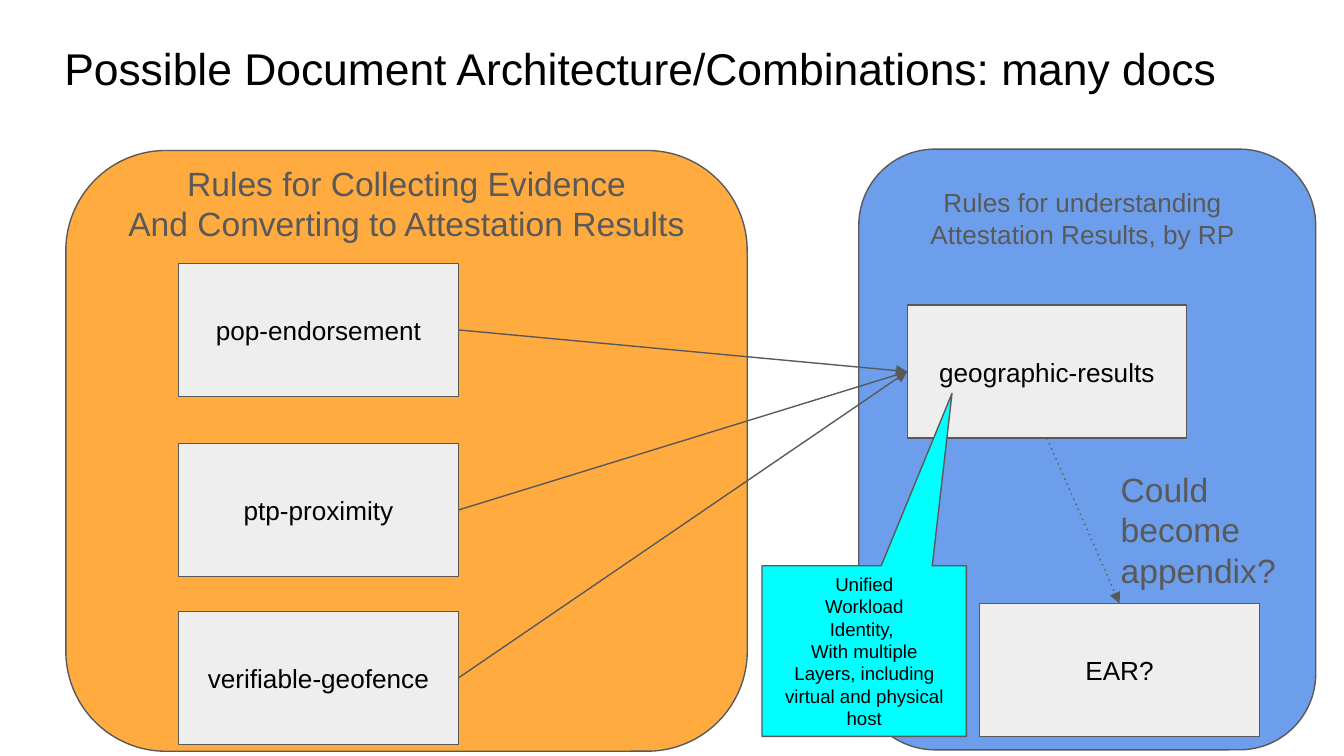
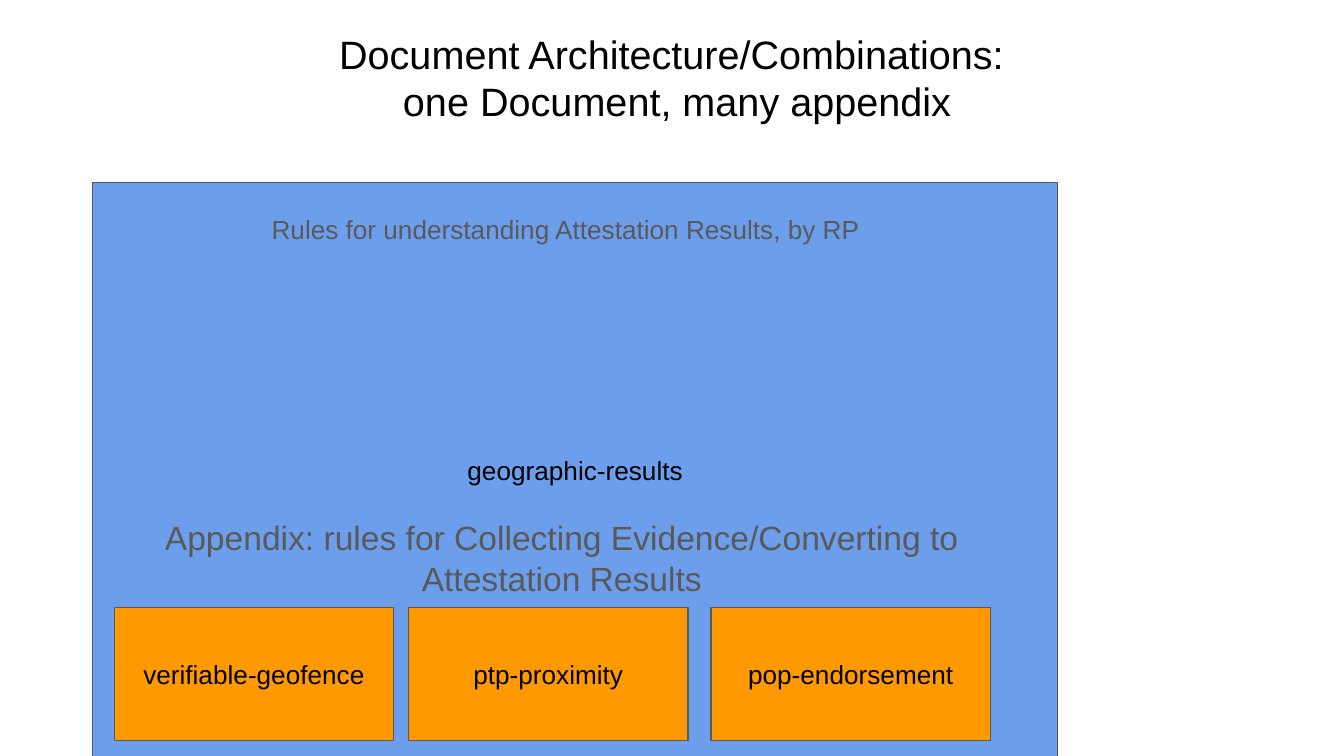
from lxml import etree
from pptx import Presentation
from pptx.dml.color import RGBColor
from pptx.enum.shapes import MSO_CONNECTOR, MSO_SHAPE
from pptx.enum.text import MSO_ANCHOR, MSO_AUTO_SIZE, PP_ALIGN
from pptx.oxml.ns import qn
from pptx.util import Inches, Pt

RECTANGLE, ROUNDED = MSO_SHAPE.RECTANGLE, MSO_SHAPE.ROUNDED_RECTANGLE
CALLOUT = MSO_SHAPE.ROUNDED_RECTANGULAR_CALLOUT
STRAIGHT = MSO_CONNECTOR.STRAIGHT
LEFT, CENTER = PP_ALIGN.LEFT, PP_ALIGN.CENTER
TOP, MIDDLE = MSO_ANCHOR.TOP, MSO_ANCHOR.MIDDLE
FIXED, GROW = MSO_AUTO_SIZE.NONE, MSO_AUTO_SIZE.SHAPE_TO_FIT_TEXT

# Slide grid: 100 columns by 56.25 rows of square cells
WIDTH, HEIGHT = Inches(10), Inches(5.625)
COLUMN, ROW = WIDTH / 100, HEIGHT / 56.25

# Shared look
FONT = "Arial"
BLACK, GRAY, LIGHT = "000000", "595959", "EEEEEE"
BLUE, AMBER, ORANGE, CYAN = "6D9EEB", "FFAB40", "FF9900", "00FFFF"
LINE_WIDTH = Pt(0.75)
INSET = Inches(0.1)
DOC_COLS, DOC_ROWS = 20.8, 9.9
BOTTOM_SIDE, TOP_SIDE, LEFT_SIDE, RIGHT_SIDE = 2, 0, 1, 3

# Wording used on both slides
RP_RULES = "Rules for understanding Attestation Results, by RP"
RESULTS = "geographic-results"
EVIDENCE_DOCS = ("pop-endorsement", "ptp-proximity", "verifiable-geofence")


def color(hex_string):
    return RGBColor.from_string(hex_string)


def place(col, row, cols, rows):
    return [round(n) for n in (col * COLUMN, row * ROW, cols * COLUMN, rows * ROW)]


def write(shape, text, size, ink, align=CENTER, anchor=MIDDLE, fit=FIXED, spacing=1.0):
    frame = shape.text_frame
    frame.text = text
    frame_format = {
        "word_wrap": True, "auto_size": fit, "vertical_anchor": anchor,
        "margin_left": INSET, "margin_right": INSET,
        "margin_top": INSET, "margin_bottom": INSET,
    }
    for name, value in frame_format.items():
        setattr(frame, name, value)
    for paragraph in frame.paragraphs:
        paragraph.alignment = align
        paragraph.line_spacing = spacing
        for run in paragraph.runs:
            for name, value in {"name": FONT, "size": Pt(size)}.items():
                setattr(run.font, name, value)
            run.font.color.rgb = color(ink)


def add_label(slide, cell, text, size, ink=GRAY, align=CENTER, fit=GROW, spacing=1.0):
    label = slide.shapes.add_textbox(*place(*cell))
    write(label, text, size, ink, align, TOP, fit, spacing)


def add_title(slide, cell, text, size, align, spacing=1.0):
    add_label(slide, cell, text, size, BLACK, align, FIXED, spacing)


def add_panel(slide, kind, cell, fill, text="", size=14, adjustments=()):
    panel = slide.shapes.add_shape(kind, *place(*cell))
    panel.shadow.inherit = False
    panel.fill.solid()
    panel.fill.fore_color.rgb = color(fill)
    panel.line.color.rgb = color(GRAY)
    panel.line.width = LINE_WIDTH
    for index, value in enumerate(adjustments):
        panel.adjustments[index] = value
    if text:
        write(panel, text, size, BLACK)
    return panel


def add_document(slide, col, row, name, fill=LIGHT):
    return add_panel(slide, RECTANGLE, (col, row, DOC_COLS, DOC_ROWS), fill, name)


def add_arrow(slide, source, source_side, target, target_side, dash="solid"):
    arrow = slide.shapes.add_connector(STRAIGHT, 0, 0, 0, 0)
    arrow.begin_connect(source, source_side)
    arrow.end_connect(target, target_side)
    arrow.line.color.rgb = color(GRAY)
    arrow.line.width = LINE_WIDTH
    properties = arrow.line._get_or_add_ln()
    etree.SubElement(properties, qn("a:prstDash"), val=dash)
    etree.SubElement(properties, qn("a:tailEnd"), type="triangle")
    etree.SubElement(arrow._element.spPr, qn("a:effectLst"))


def build_many_docs(slide):
    # Two rule areas
    add_panel(slide, ROUNDED, (63.9, 11.1, 34, 44.7), BLUE)
    add_panel(slide, ROUNDED, (4.9, 11.2, 50.7, 44.7), AMBER)
    add_title(slide, (3.8, 2.5, 93.2, 6.3),
              "Possible Document Architecture/Combinations: many docs", 23.8, LEFT, 0.9)

    # Evidence documents feed the results document
    results = add_document(slide, 67.5, 22.7, RESULTS)
    for name, row in zip(EVIDENCE_DOCS, (19.6, 33, 45.5)):
        evidence = add_document(slide, 13.3, row, name)
        add_arrow(slide, evidence, RIGHT_SIDE, results, LEFT_SIDE)

    # Possible appendix
    ear = add_document(slide, 72.9, 44.9, "EAR?")
    add_arrow(slide, results, BOTTOM_SIDE, ear, TOP_SIDE, "dot")
    add_label(slide, (82.4, 33.9, 18, 11), "Could become appendix?", 18, align=LEFT)

    # Area headings
    add_label(slide, (7.2, 11.1, 46.1, 8),
              "Rules for Collecting Evidence\nAnd Converting to Attestation Results", 18)
    add_label(slide, (66.3, 12.9, 28.5, 6.7), RP_RULES, 14)

    # Callout on the results document
    add_panel(slide, CALLOUT, (56.7, 42.1, 15.2, 12.7), CYAN,
              "Unified\nWorkload\nIdentity, \nWith multiple\n"
              "Layers, including virtual and physical host",
              10, (0.43, -1.51, 0))


def build_one_document(slide):
    add_title(slide, (3.8, 1.2, 93.2, 7.6),
              "Document Architecture/Combinations: \vone Document, many appendix",
              21.2, CENTER)

    # Main document
    add_panel(slide, RECTANGLE, (6.9, 13.6, 71.8, 42.7), BLUE, RESULTS)

    # Appendices
    for name, col in zip(EVIDENCE_DOCS, (52.9, 30.4, 8.5)):
        add_document(slide, col, 45.2, name, ORANGE)
    add_label(slide, (9.4, 37.5, 64.8, 8),
              "Appendix: rules for Collecting Evidence/Converting to Attestation Results", 18)
    add_label(slide, (8.5, 14.9, 67.2, 4.3), RP_RULES, 14)


def main():
    deck = Presentation()
    deck.slide_width, deck.slide_height = WIDTH, HEIGHT
    blank = deck.slide_layouts[6]
    for build in (build_many_docs, build_one_document):
        build(deck.slides.add_slide(blank))
    deck.save("out.pptx")


if __name__ == "__main__":
    main()
